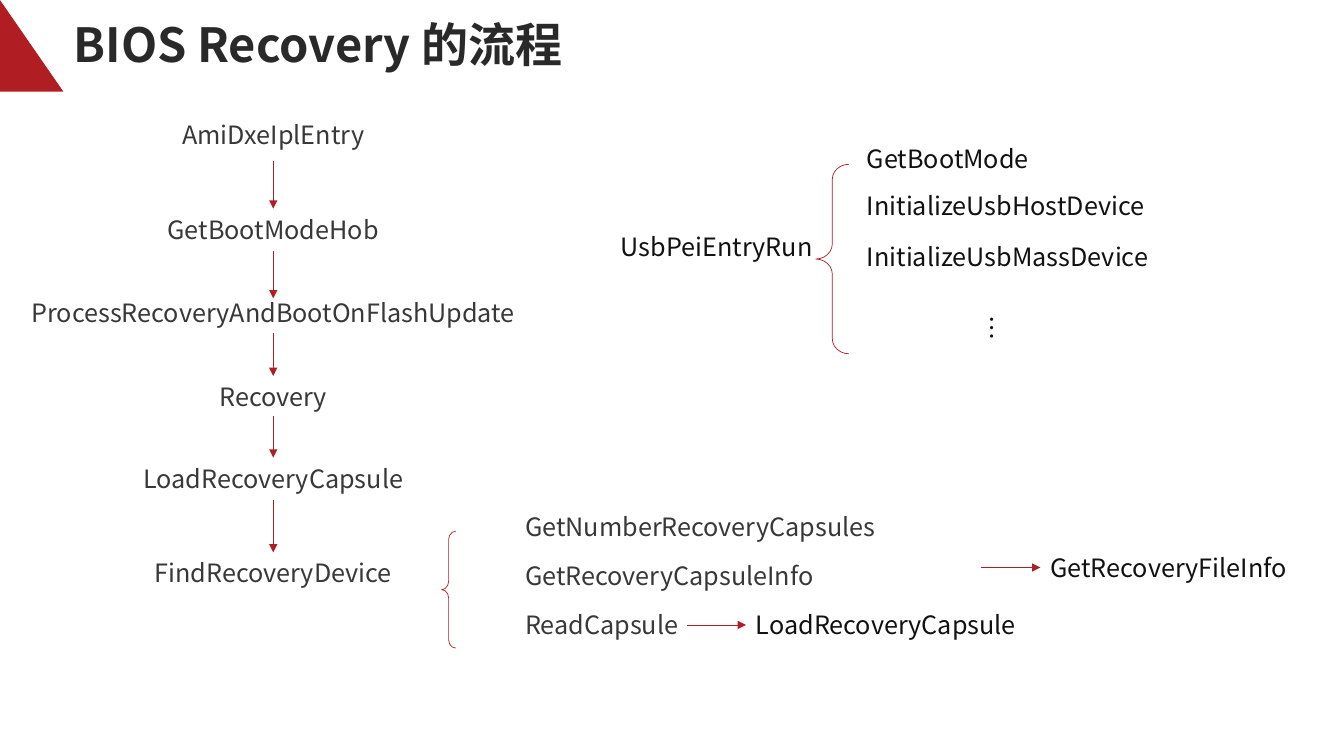
"""Build the BIOS Recovery flow slide."""
from lxml import etree
from pptx import Presentation
from pptx.dml.color import RGBColor
from pptx.enum.shapes import MSO_CONNECTOR, MSO_SHAPE
from pptx.enum.text import MSO_ANCHOR, MSO_AUTO_SIZE, PP_ALIGN
from pptx.oxml.ns import qn
from pptx.util import Inches, Pt

LEFT, CENTER = PP_ALIGN.LEFT, PP_ALIGN.CENTER
MIDDLE = MSO_ANCHOR.MIDDLE
GROW, FIXED = MSO_AUTO_SIZE.SHAPE_TO_FIT_TEXT, MSO_AUTO_SIZE.NONE
STRAIGHT = MSO_CONNECTOR.STRAIGHT
BRACE, WEDGE = MSO_SHAPE.LEFT_BRACE, MSO_SHAPE.RIGHT_TRIANGLE
FONT = "Noto Sans CJK SC"
COLORS = {"red": "B01D23", "title": "292929", "gray": "383838", "black": "111111"}
RGB = {name: RGBColor.from_string(code) for name, code in COLORS.items()}

deck = Presentation()
deck.slide_width, deck.slide_height = Inches(13.33), Inches(7.5)
slide = deck.slides.add_slide(deck.slide_layouts[5])
shapes = slide.shapes


def write(box, text, color, align=LEFT, size=18, bold=False):
    """Fill a box with one styled line of text."""
    para = box.text_frame.paragraphs[0]
    para.alignment = align
    run = para.add_run()
    run.text = text
    style = {"name": FONT, "size": Pt(size), "bold": bold}
    for key, value in style.items():
        setattr(run.font, key, value)
    run.font.color.rgb = RGB[color]
    etree.SubElement(run.font._element, qn("a:ea"), typeface=FONT)
    return para


def label(text, left, top, width, color, align=LEFT, height=0.4):
    """Add a text box holding one label."""
    box = shapes.add_textbox(*map(Inches, (left, top, width, height)))
    box.text_frame.word_wrap = True
    box.text_frame.auto_size = GROW
    write(box, text, color, align)
    return box


wedge = shapes.add_shape(WEDGE, 0, 0, Inches(0.63), Inches(0.91))
wedge.shadow.inherit = False
wedge.fill.solid()
wedge.fill.fore_color.rgb = RGB["red"]
wedge.line.fill.background()

title = shapes.title
place = {"left": 0.65, "top": 0.11, "width": 10.72, "height": 0.71}
for key, value in place.items():
    setattr(title, key, Inches(value))
frame = title.text_frame
inset = {"margin_left": 0.08, "margin_right": 0.08, "margin_top": 0.04, "margin_bottom": 0.04}
for key, value in inset.items():
    setattr(frame, key, Inches(value))
frame.vertical_anchor, frame.auto_size = MIDDLE, FIXED
write(title, "BIOS Recovery 的流程", "title", size=33.6, bold=True).line_spacing = 0.9

axis = 2.71
steps = [
    ("AmiDxeIplEntry", 1.13, 2.37),
    ("GetBootModeHob", 2.08, 2.78),
    ("ProcessRecoveryAndBootOnFlashUpdate", 2.9, 5.09),
    ("Recovery", 3.73, 1.29),
    ("LoadRecoveryCapsule", 4.55, 2.82),
    ("FindRecoveryDevice", 5.48, 2.6),
]
for text, top, width in steps:
    box = label(text, axis - width / 2, top, width, "gray", CENTER)
    box.text_frame.word_wrap = False

notes = [
    ("GetNumberRecoveryCapsules", 5.11, 5.02, 4.49, "gray"),
    ("GetRecoveryCapsuleInfo", 5.11, 5.51, 4.76, "gray"),
    ("ReadCapsule", 5.11, 6, 1.88, "gray"),
    ("LoadRecoveryCapsule", 7.4, 6, 2.9, "black"),
    ("GetRecoveryFileInfo", 10.32, 5.43, 2.78, "black"),
    ("UsbPeiEntryRun", 6.06, 2.25, 2.2, "black"),
    ("GetBootMode", 8.5, 1.37, 2.14, "black"),
    ("InitializeUsbHostDevice", 8.5, 1.84, 3.97, "black"),
    ("InitializeUsbMassDevice", 8.5, 2.34, 3.97, "black"),
]
for note in notes:
    label(*note)

dots = label("…", 9.64, 2.97, 0.4, "black", CENTER, 0.52)
dots.rotation = 90
dots.text_frame.auto_size = FIXED
dots.text_frame.vertical_anchor = MIDDLE

drops = [(1.6, 2.07), (2.49, 2.96), (3.3, 3.73), (4.13, 4.54), (4.96, 5.48)]
arrows = [(axis, start, axis, end) for start, end in drops]
arrows += [(left, y, left + 0.59, y) for left, y in [(6.81, 6.2), (9.73, 5.63)]]
for ends in arrows:
    arrow = shapes.add_connector(STRAIGHT, *map(Inches, ends))
    arrow.line.color.rgb = RGB["red"]
    arrow.line.width = Pt(0.5)
    etree.SubElement(arrow.line._get_or_add_ln(), qn("a:tailEnd"), type="triangle")
    etree.SubElement(arrow._element.spPr, qn("a:effectLst"))

braces = [((4.38, 5.27, 0.14, 1.16), 0.59), ((8.09, 1.63, 0.33, 1.88), 0.455)]
for area, curve in braces:
    brace = shapes.add_shape(BRACE, *map(Inches, area))
    brace.shadow.inherit = False
    brace.adjustments[0] = curve
    brace.fill.background()
    brace.line.color.rgb = RGB["red"]
    brace.line.width = Pt(0.5)

deck.save("out.pptx")
